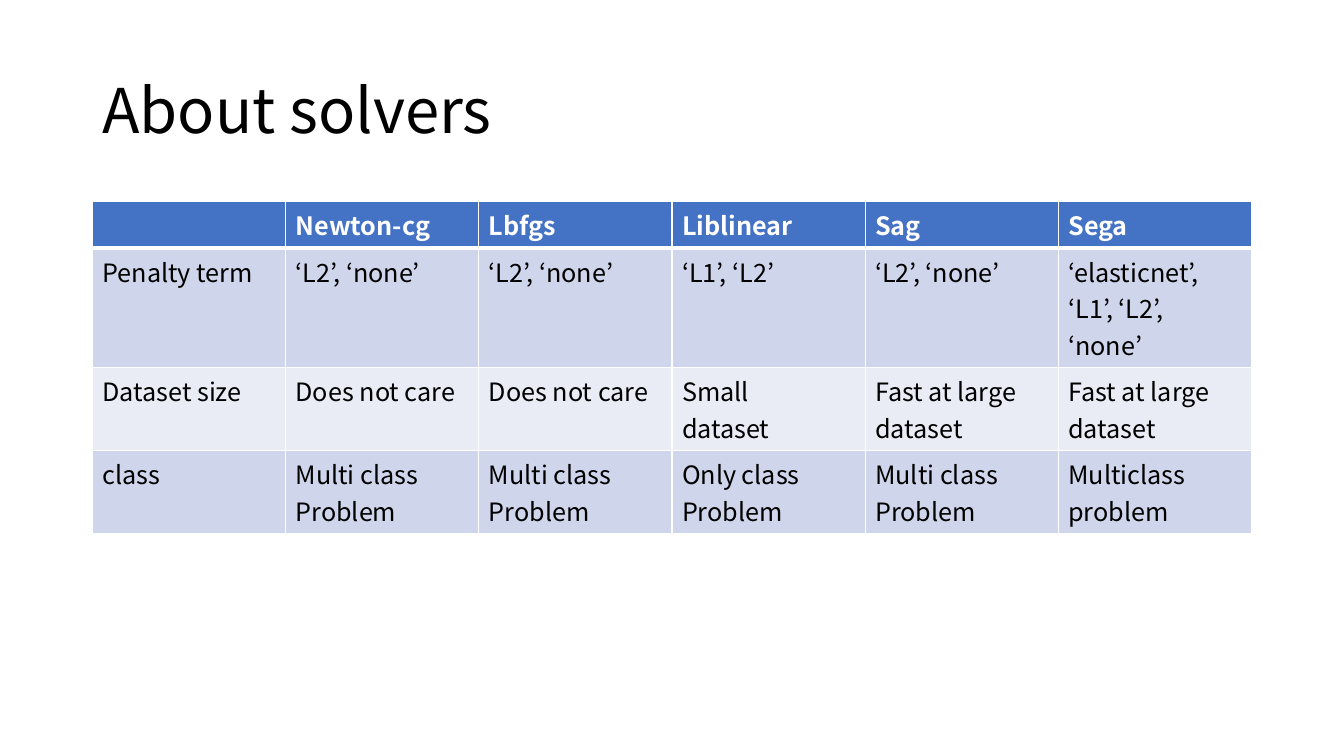
from lxml.etree import SubElement
from pptx import Presentation
from pptx.dml.color import RGBColor
from pptx.enum.text import MSO_ANCHOR as Anchor
from pptx.oxml import parse_xml
from pptx.oxml.ns import nsdecls, qn
from pptx.util import Emu, Pt

PX = 9525  # EMU in one px, 96 px to the inch
BLACK, WHITE, HEADER_BLUE = "000000", "FFFFFF", "4472C4"
BANDS = ["CFD5EA", "E9EBF5"]


def px(length):
    return Emu(length * PX)


def color(hex_code):
    return RGBColor.from_string(hex_code)


class SlideBuilder:
    font_name = "Noto Sans CJK KR"

    def __init__(self, slide):
        self.slide = slide

    def style_text(self, frame, size, hex_code, bold=False):
        for para in frame.paragraphs:
            for span in para.runs:
                span.font.name = self.font_name
                span.font.size = Pt(size)
                span.font.bold = bold
                span.font.color.rgb = color(hex_code)

    def title(self, text, left, top, width, height):
        box = self.slide.shapes.add_textbox(px(left), px(top), px(width), px(height))
        frame = box.text_frame
        frame.word_wrap = True
        frame.vertical_anchor = Anchor.MIDDLE
        frame.text = text
        frame.paragraphs[0].line_spacing = 0.9
        self.style_text(frame, 44, hex_code=BLACK)

    def borders(self, cell, top, bottom):
        """Draw white borders; top and bottom are widths in points."""
        properties = cell._tc.get_or_add_tcPr()
        widths = {"lnL": 1, "lnR": 1, "lnT": top, "lnB": bottom}
        for index, (side, width) in enumerate(widths.items()):
            line = parse_xml(f'<a:{side} {nsdecls("a")} w="{Pt(width)}"/>')
            fill = SubElement(line, qn("a:solidFill"))
            SubElement(fill, qn("a:srgbClr"), val=WHITE)
            properties.insert(index, line)

    def table(self, rows, left, top, column_width, row_heights):
        columns = len(rows[0])
        frame = self.slide.shapes.add_table(
            len(rows), columns, px(left), px(top),
            px(column_width * columns), px(sum(row_heights)))
        table = frame.table
        for column in table.columns:
            column.width = px(column_width)
        for r, texts in enumerate(rows):
            table.rows[r].height = px(row_heights[r])
            is_header = r == 0
            fill = HEADER_BLUE if is_header else BANDS[(r - 1) % 2]
            for c, text in enumerate(texts):
                cell = table.cell(r, c)
                cell.text_frame.text = text
                self.style_text(cell.text_frame, 18,
                                WHITE if is_header else BLACK, is_header)
                cell.fill.solid()
                cell.fill.fore_color.rgb = color(fill)
                # The rule under the header is thicker
                self.borders(cell, top=3 if r == 1 else 1,
                             bottom=3 if is_header else 1)


SOLVERS = [
    ["", "Newton-cg", "Lbfgs", "Liblinear", "Sag", "Sega"],
    ["Penalty term", "‘L2’, ‘none’", "‘L2’, ‘none’", "‘L1’, ‘L2’",
     "‘L2’, ‘none’", "‘elasticnet’, ‘L1’, ‘L2’, ‘none’"],
    ["Dataset size", "Does not care", "Does not care", "Small\ndataset",
     "Fast at large dataset", "Fast at large dataset"],
    ["class", "Multi class\nProblem", "Multi class\nProblem",
     "Only class\nProblem", "Multi class\nProblem", "Multiclass\nproblem"],
]


def main():
    deck = Presentation()
    deck.slide_width, deck.slide_height = px(1280), px(720)
    page = SlideBuilder(deck.slides.add_slide(deck.slide_layouts[6]))

    # Heading
    page.title("About solvers", 88, 39, 1104, 139)

    # Solver comparison
    page.table(SOLVERS, 88, 192, column_width=184, row_heights=[44, 114, 79, 79])

    deck.save("out.pptx")


if __name__ == "__main__":
    main()
